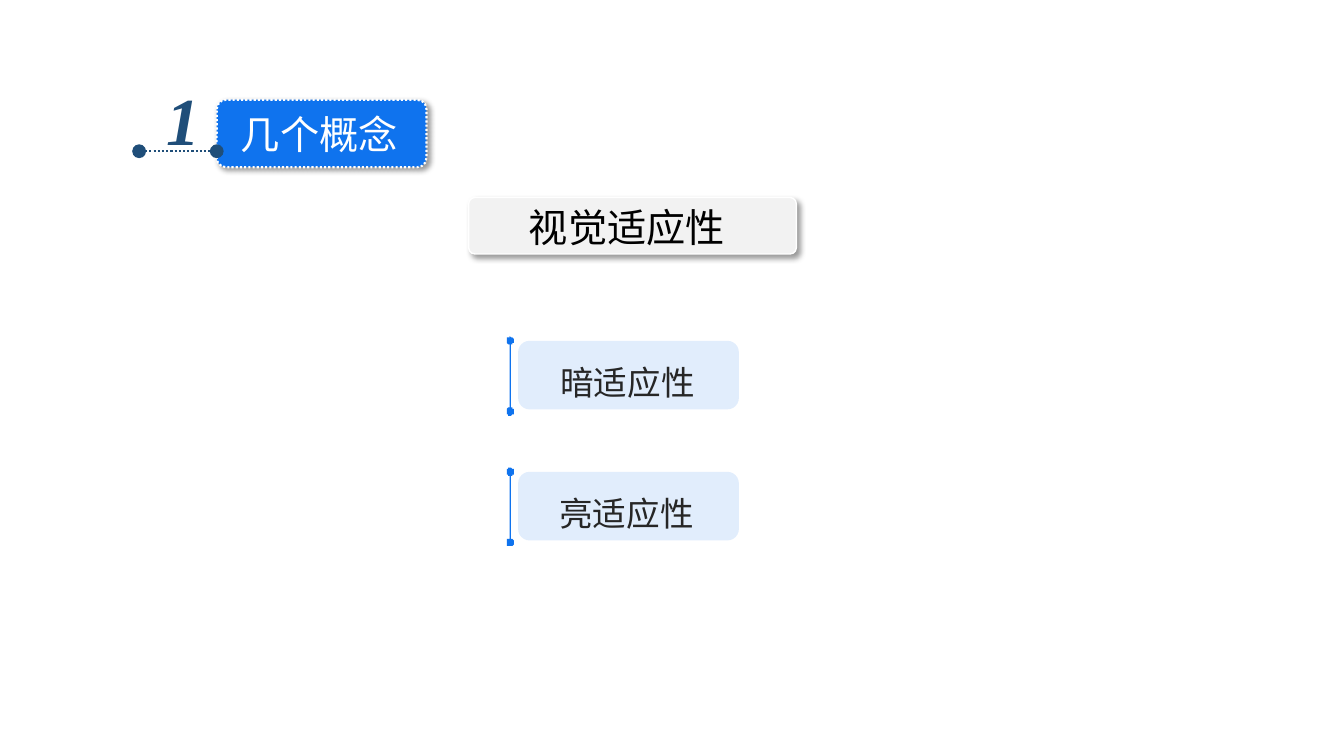
import math

import pptx
import pptx.dml.color
import pptx.enum.dml
import pptx.enum.shapes
import pptx.enum.text
import pptx.oxml
import pptx.oxml.ns
import pptx.util

Pt = pptx.util.Pt
qn = pptx.oxml.ns.qn

CJK, SERIF = "Noto Sans CJK SC", "Times New Roman"
BLUE, NAVY, WHITE, GREY = "0F73EE", "1F4E79", "FFFFFF", "F2F2F2"
BLACK, DARK = "000000", "262626"

# Boxes are left, top, width, height in points
NUMBER = ("1", (111.6, 52.6, 38.9, 65.5))
HEADING = ("几个概念", (164.9, 74.9, 127.4, 41))
HEADING_CARD = (154.8, 71.3, 149.8, 48.2)
HEADING_RULE = (99.4, 154.8, 108)  # from x, to x, y
TOPIC = ("视觉适应性", (370.8, 141.8, 175.7, 74.9))
TOPIC_CARD = (334.8, 141.1, 234, 40.3)

KINDS = [("暗适应性", 393.1), ("亮适应性", 392.4)]  # label, text left
KIND_TOP, KIND_STEP = 240.5, 93.6
KIND_CARD = (370.1, 157.7, 49)  # left, width, height
KIND_LABEL = (111.6, 46.1)  # width, height
MARKER_X, MARKER_HEIGHT = 364.4, 56.2
KNOB_RADIUS, STEM_HALF = 2.9, 0.75


def rgb(color):
    return pptx.dml.color.RGBColor.from_string(color)


def add_xml(parent, tag, inner="", **attrs):
    attr_text = "".join(f' {k}="{v}"' for k, v in attrs.items())
    ns = pptx.oxml.ns.nsdecls("a")
    parent.append(pptx.oxml.parse_xml(f"<a:{tag} {ns}{attr_text}>{inner}</a:{tag}>"))


def paint(sp, fill, alpha=None, line=None, width=1, dash=None, shadow=False):
    sp.fill.solid()
    sp.fill.fore_color.rgb = rgb(fill)
    if alpha:
        color = sp.element.spPr.find(qn("a:solidFill"))[0]
        add_xml(color, "alpha", val=alpha * 1000)
    if line:
        sp.line.color.rgb = rgb(line)
        sp.line.width = Pt(width)
        if dash:
            sp.line.dash_style = dash
    else:
        sp.line.fill.background()
    sp.shadow.inherit = False
    if shadow:
        add_xml(sp.element.spPr.find(qn("a:effectLst")), "outerShdw",
                '<a:srgbClr val="000000"><a:alpha val="40000"/></a:srgbClr>',
                blurRad=Pt(4), dist=Pt(3), dir=45 * 60000, algn="tl", rotWithShape=0)


def add_card(shapes, box, fill, radius=0.1667, **style):
    sp = shapes.add_shape(pptx.enum.shapes.MSO_SHAPE.ROUNDED_RECTANGLE, *map(Pt, box))
    sp.adjustments[0] = radius
    paint(sp, fill, **style)


def put_text(sp, text, size, color, font=CJK, wrap=False, spacing=None,
             bold=False, italic=False):
    tf = sp.text_frame
    tf.word_wrap = wrap
    tf.auto_size = pptx.enum.text.MSO_AUTO_SIZE.SHAPE_TO_FIT_TEXT
    tf.vertical_anchor = pptx.enum.text.MSO_ANCHOR.TOP
    p = tf.paragraphs[0]
    p.alignment = pptx.enum.text.PP_ALIGN.LEFT
    if spacing:
        p.line_spacing = spacing
    r = p.add_run()
    r.text = text
    r.font.name, r.font.size = font, Pt(size)
    r.font.bold, r.font.italic = bold, italic
    r.font.color.rgb = rgb(color)
    add_xml(r.font.element if hasattr(r.font, "element") else r._r.rPr,
            "ea", typeface=font)


def add_text(shapes, text, box, size, color, **style):
    put_text(shapes.add_textbox(*map(Pt, box)), text, size, color, **style)


def add_marker(shapes, x, top):
    """Draw a thin upright stem with a round knob at each end."""
    gap = math.degrees(math.asin(STEM_HALF / KNOB_RADIUS))
    points = []
    for y, start in ((top + KNOB_RADIUS, 90 + gap),
                     (top + MARKER_HEIGHT - KNOB_RADIUS, 270 + gap)):
        for i in range(33):
            a = math.radians(start + (360 - 2 * gap) * i / 32)
            points.append((x + KNOB_RADIUS * math.cos(a), y + KNOB_RADIUS * math.sin(a)))
    builder = shapes.build_freeform(*points[0], scale=Pt(1))
    builder.add_line_segments(points[1:], close=True)
    paint(builder.convert_to_shape(), BLUE)


def add_dotted_rule(shapes, x1, x2, y):
    c = shapes.add_connector(pptx.enum.shapes.MSO_CONNECTOR.STRAIGHT,
                             Pt(x1), Pt(y), Pt(x2), Pt(y))
    c.line.color.rgb = rgb(NAVY)
    c.line.width = Pt(1.5)
    c.line.dash_style = pptx.enum.dml.MSO_LINE.ROUND_DOT
    for end in ("headEnd", "tailEnd"):
        add_xml(c.line.get_or_add_ln() if hasattr(c.line, "get_or_add_ln")
                else c.element.spPr.find(qn("a:ln")), end, type="oval", w="lg", len="lg")
    add_xml(c.element.spPr, "effectLst")


def add_kind(shapes, label, text_left, top):
    left, width, height = KIND_CARD
    add_card(shapes, (left, top + 2.9, width, height), BLUE, alpha=12)
    add_marker(shapes, MARKER_X, top)
    add_text(shapes, label, (text_left, top, *KIND_LABEL), 24, DARK, spacing=1.5)


def main():
    prs = pptx.Presentation()
    prs.slide_width, prs.slide_height = Pt(960), Pt(540)
    s = prs.slides.add_slide(prs.slide_layouts[5])
    title = s.shapes.title

    add_card(s.shapes, HEADING_CARD, BLUE, radius=0.137, line=WHITE, width=1.5,
             dash=pptx.enum.dml.MSO_LINE.ROUND_DOT, shadow=True)
    s.shapes.element.append(title.element)  # bring the title in front of its card
    text, box = HEADING
    title.left, title.top, title.width, title.height = map(Pt, box)
    put_text(title, text, 28, WHITE)
    add_text(s.shapes, *NUMBER, 48, NAVY, font=SERIF, bold=True, italic=True)
    add_dotted_rule(s.shapes, *HEADING_RULE)

    add_card(s.shapes, TOPIC_CARD, GREY, radius=0.108, line=WHITE, shadow=True)
    add_text(s.shapes, *TOPIC, 28, BLACK, wrap=True)

    for i, (label, text_left) in enumerate(KINDS):
        group = s.shapes.add_group_shape()
        add_kind(group.shapes, label, text_left, KIND_TOP + i * KIND_STEP)

    prs.save("out.pptx")


if __name__ == "__main__":
    main()
